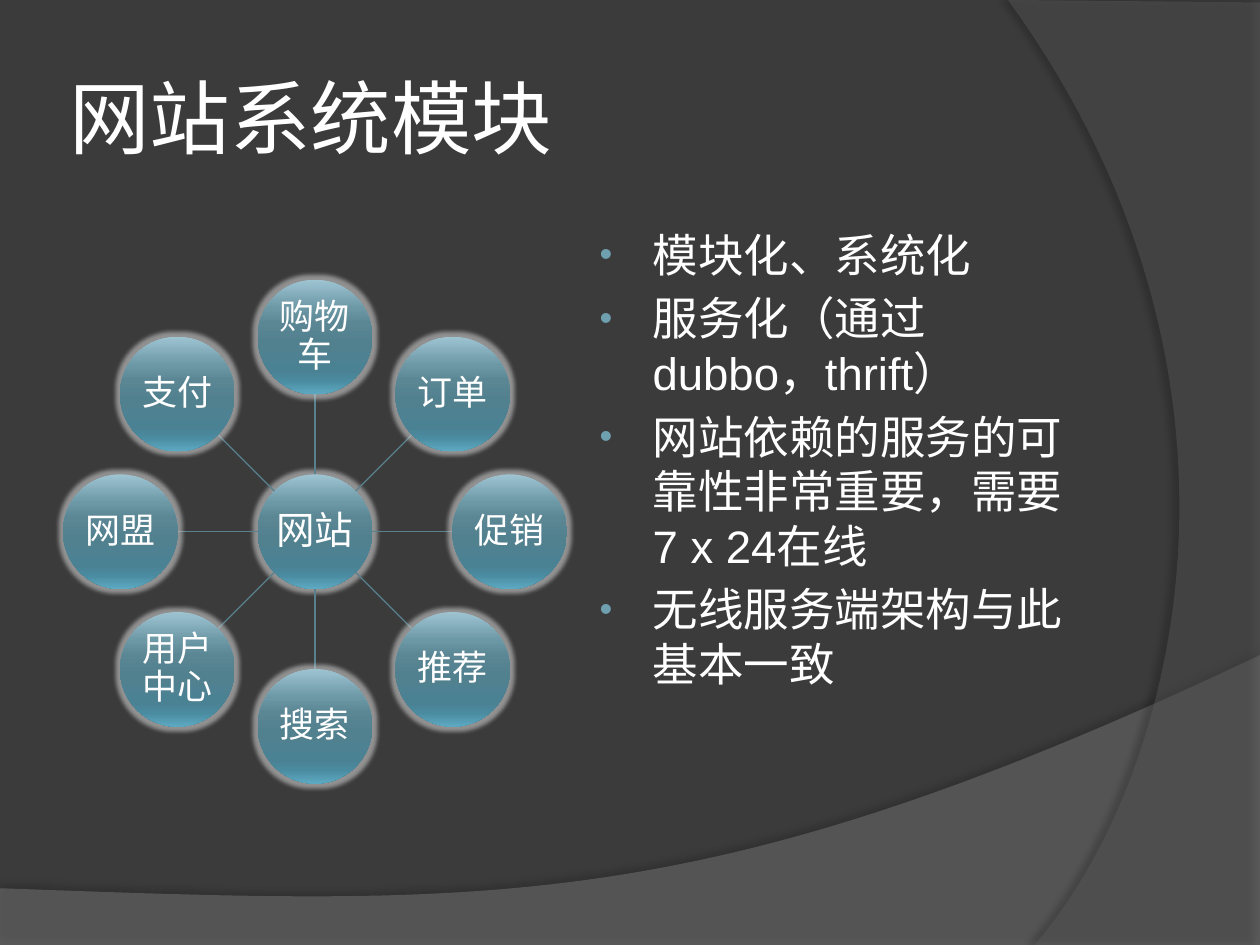
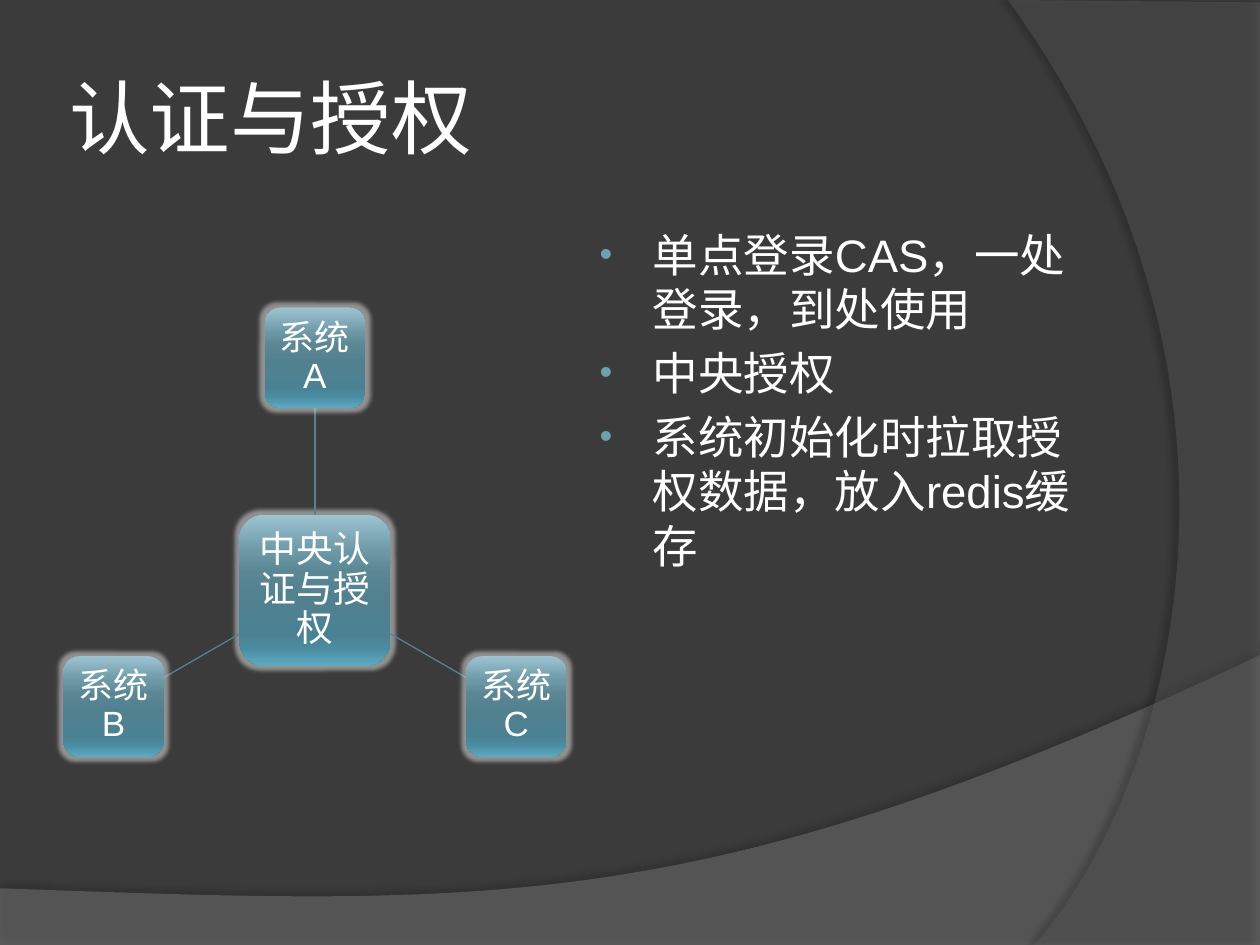
import math
from dataclasses import dataclass

from lxml import etree
from pptx import Presentation
from pptx import util as u
from pptx.dml.color import RGBColor
from pptx.enum import lang, shapes, text
from pptx.oxml.ns import qn

COLUMNS, ROWS = 20, 15
TITLE_ONLY = 5


# Colours and type sizes
@dataclass(frozen=True)
class Theme:
    background: str = "3B3B3B"
    ink: str = "FFFFFF"
    bullet: str = "6EA0B0"
    spoke: str = "58808D"
    glow: str = "CCCCCC"
    gloss: tuple = ((0, "9EC4D2"), (25, "6C97A5"), (38, "5B8694"), (55, "51808F"),
                    (80, "4A8294"), (88, "4A8BA0"), (100, "5DAAC2"))
    title_font: str = "Cabin"
    body_font: str = "Arial"
    title_size: int = 46
    body_size: int = 26
    node_size: int = 20


# Background bands: points in grid cells; six numbers make a curve
BANDS = [
    dict(outline=[(0, 14.1), (0, 15), (20, 15), (20, 10.4),
                  (11.18, 14.58, 7.82, 14.38, 0, 14.1)],
         colour="7F7F7F", opacity=45, shadow=dict(alpha=35, blur=4, distance=3.5, angle=270)),
    dict(outline=[(20, 0.04), (20, 15), (16.42, 15),
                  (18.7, 12.38, 20.36, 6, 16, 0)],
         colour="5E5E5E", opacity=40, shadow=dict(alpha=45, blur=4, distance=4, angle=180)),
]

# Content of the two slides
PAGES = [
    dict(title="网站系统模块",
         diagram=dict(kind=shapes.MSO_SHAPE.OVAL, centre=(5, 8.44), ring=3.09,
                      hub="网站", hub_side=1.82, hub_size=22, node_side=1.82, inset=0.01,
                      nodes=["购物车", "订单", "促销", "推荐", "搜索", "用户中心", "网盟", "支付"]),
         points=["模块化、系统化", "服务化（通过dubbo，thrift）",
                 "网站依赖的服务的可靠性非常重要，需要7 x 24在线", "无线服务端架构与此基本一致"]),
    dict(title="认证与授权",
         diagram=dict(kind=shapes.MSO_SHAPE.ROUNDED_RECTANGLE, centre=(5, 9.37), ring=3.69,
                      hub="中央认证与授权", hub_side=2.4, hub_size=21, node_side=1.6, inset=0.06,
                      nodes=["系统A", "系统C", "系统B"]),
         points=["单点登录CAS，一处登录，到处使用", "中央授权",
                 "系统初始化时拉取授权数据，放入redis缓存"]),
]


def assign(target, values):
    for name, value in values.items():
        setattr(target, name, value)


def add_xml(parent, tag, **attributes):
    return etree.SubElement(parent, qn(tag), {k: str(v) for k, v in attributes.items()})


def add_colour(parent, colour, opacity=100):
    node = add_xml(parent, "a:srgbClr", val=colour)
    if opacity < 100:
        add_xml(node, "a:alpha", val=opacity * 1000)


def curve_points(start, curve, steps=60):
    """Points along a cubic curve, without its start."""
    corners = [start, curve[0:2], curve[2:4], curve[4:6]]
    for step in range(1, steps + 1):
        t = step / steps
        weights = [(1 - t) ** 3, 3 * t * (1 - t) ** 2, 3 * t * t * (1 - t), t ** 3]
        yield tuple(sum(w * c[axis] for w, c in zip(weights, corners)) for axis in (0, 1))


class Builder:
    def __init__(self, deck, theme):
        self.deck, self.theme, self.page = deck, theme, None
        self.layout = deck.slide_layouts[TITLE_ONLY]
        fill = deck.slide_master.background.fill
        fill.solid()
        fill.fore_color.rgb = RGBColor.from_string(theme.background)

    def x(self, columns):
        return round(self.deck.slide_width * columns / COLUMNS)

    def y(self, rows):
        return round(self.deck.slide_height * rows / ROWS)

    def area(self, left, top, width, height):
        return self.x(left), self.y(top), self.x(width), self.y(height)

    def new_page(self):
        self.page = self.deck.slides.add_slide(self.layout)

    def band(self, outline, colour, opacity, shadow):
        """Draw a band and hand it to the shared layout."""
        points = []
        for entry in outline:
            points.extend([entry] if len(entry) == 2 else curve_points(points[-1], entry))
        corners = [(self.x(column), self.y(row)) for column, row in points]
        builder = self.page.shapes.build_freeform(*corners[0])
        builder.add_line_segments(corners[1:], close=True)
        shape = builder.convert_to_shape()
        shape.fill.solid()
        shape.fill.fore_color.rgb = RGBColor.from_string(colour)
        add_xml(shape.element.spPr.find(".//" + qn("a:srgbClr")), "a:alpha", val=opacity * 1000)
        shape.line.fill.background()
        shape.shadow.inherit = False
        effects = shape.element.spPr.find(qn("a:effectLst"))
        cast = add_xml(effects, "a:outerShdw", blurRad=u.Pt(shadow["blur"]),
                       dist=u.Pt(shadow["distance"]), dir=shadow["angle"] * 60000,
                       rotWithShape=0)
        add_colour(cast, "000000", shadow["alpha"])
        self.layout.shapes.element.append(shape.element)

    def fill_text(self, frame, lines, size, font, inset, anchor, **paragraph_format):
        margins = {"margin_" + side: u.Inches(inset)
                   for side in ("left", "right", "top", "bottom")}
        assign(frame, dict(margins, word_wrap=True, vertical_anchor=anchor))
        for index, line in enumerate(lines):
            para = frame.add_paragraph() if index else frame.paragraphs[0]
            assign(para, paragraph_format)
            span = para.add_run()
            span.text = line
            assign(span.font, dict(name=font, size=u.Pt(size), bold=False,
                                   language_id=lang.MSO_LANGUAGE_ID.SIMPLIFIED_CHINESE))
            span.font.color.rgb = RGBColor.from_string(self.theme.ink)

    def title(self, words):
        box = self.page.shapes.title
        box.left, box.top, box.width, box.height = self.area(1, 0.6, 16.34, 2.5)
        self.fill_text(box.text_frame, [words], self.theme.title_size, self.theme.title_font,
                       0.05, text.MSO_ANCHOR.MIDDLE, alignment=text.PP_ALIGN.LEFT)

    def bullets(self, lines):
        box = self.page.shapes.add_textbox(*self.area(9.34, 3.5, 8, 9.9))
        size = self.theme.body_size
        self.fill_text(box.text_frame, lines, size, self.theme.body_font, 0.05,
                       text.MSO_ANCHOR.TOP, space_before=u.Pt(0.2 * size))
        for marks in box.element.iter(qn("a:pPr")):
            marks.set("marL", str(u.Inches(0.46)))
            marks.set("indent", str(u.Inches(-0.42)))
            add_colour(add_xml(marks, "a:buClr"), self.theme.bullet)
            add_xml(marks, "a:buSzPct", val=80000)
            add_xml(marks, "a:buFont", typeface=self.theme.body_font)
            add_xml(marks, "a:buChar", char="•")

    def node(self, kind, centre, side, words, size, inset):
        left, top = (place - side / 2 for place in centre)
        shape = self.page.shapes.add_shape(kind, *self.area(left, top, side, side))
        # Glossy fill and soft halo
        shape.fill.gradient()
        shape.fill.gradient_angle = 270
        stops = shape.element.spPr.find(".//" + qn("a:gsLst"))
        for stop in list(stops):
            stops.remove(stop)
        for position, colour in self.theme.gloss:
            add_colour(add_xml(stops, "a:gs", pos=position * 1000), colour)
        shape.line.fill.background()
        shape.shadow.inherit = False
        effects = shape.element.spPr.find(qn("a:effectLst"))
        add_colour(add_xml(effects, "a:glow", rad=u.Pt(5)), self.theme.glow, 60)
        self.fill_text(shape.text_frame, [words], size, self.theme.body_font, inset,
                       text.MSO_ANCHOR.MIDDLE, alignment=text.PP_ALIGN.CENTER,
                       line_spacing=0.9)

    def spoke(self, start, end):
        line = self.page.shapes.add_connector(
            shapes.MSO_CONNECTOR.STRAIGHT, self.x(start[0]), self.y(start[1]),
            self.x(end[0]), self.y(end[1]))
        line.line.width = u.Pt(0.75)
        line.line.color.rgb = RGBColor.from_string(self.theme.spoke)
        add_xml(line.element.spPr, "a:effectLst")

    def hub_diagram(self, kind, centre, ring, hub, hub_side, hub_size, node_side, inset, nodes):
        """Place nodes clockwise from the top, each joined to the hub edge to edge."""
        self.node(kind, centre, hub_side, hub, hub_size, inset)
        for index, words in enumerate(nodes):
            angle = math.radians(360 * index / len(nodes) - 90)
            across, down = math.cos(angle), math.sin(angle)
            round_node = kind == shapes.MSO_SHAPE.OVAL
            reach = 0.5 if round_node else 0.5 / max(abs(across), abs(down))

            def along(distance):
                return centre[0] + distance * across, centre[1] + distance * down

            self.spoke(along(reach * hub_side), along(ring - reach * node_side))
            self.node(kind, along(ring), node_side, words, self.theme.node_size, inset)


def main():
    deck = Presentation()
    deck.slide_width, deck.slide_height = u.Inches(10), u.Inches(7.5)
    builder = Builder(deck, Theme())
    for index, content in enumerate(PAGES):
        builder.new_page()
        if index == 0:
            for band in BANDS:
                builder.band(**band)
        builder.title(content["title"])
        builder.hub_diagram(**content["diagram"])
        builder.bullets(content["points"])
    deck.save("out.pptx")


if __name__ == "__main__":
    main()
